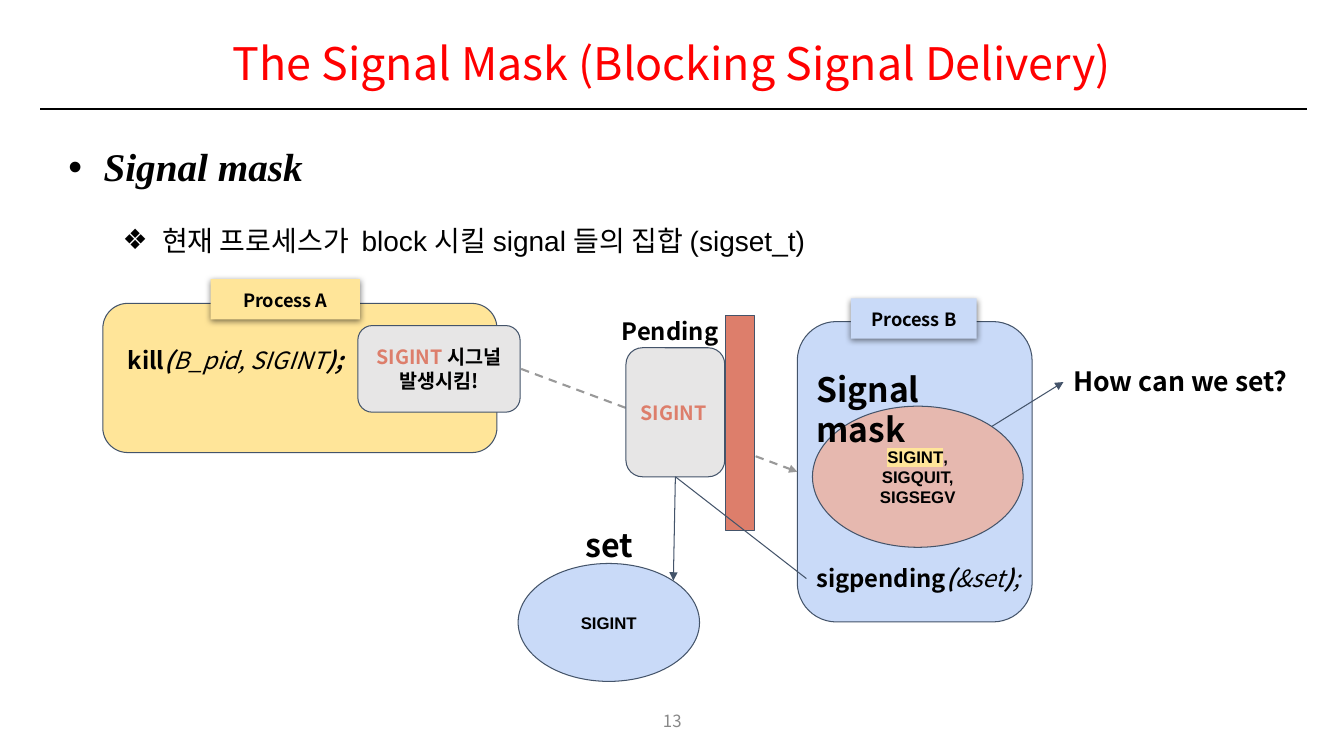
import dataclasses

import lxml.etree
import pptx
import pptx.dml.color
import pptx.enum.dml
import pptx.enum.shapes
import pptx.enum.text
import pptx.oxml.ns
import pptx.util

SHAPE = pptx.enum.shapes.MSO_SHAPE
ALIGN = pptx.enum.text.PP_ALIGN
ANCHOR = pptx.enum.text.MSO_ANCHOR
COLUMNS, ROWS = 133.33, 75


@dataclasses.dataclass(frozen=True)
class Theme:
    sans: str = "Noto Sans CJK KR"
    serif: str = "Times New Roman"
    plain: str = "Arial"
    black: str = "000000"
    red: str = "FF0000"
    outline: str = "44546A"
    yellow: str = "FFE599"
    blue: str = "C9DAF8"
    pink: str = "E6B8AF"
    coral: str = "DD7E6B"
    silver: str = "E7E6E6"
    muted: str = "888888"
    dash: str = "999999"
    title: int = 32
    heading: int = 28
    mask: int = 24
    result: int = 23
    point: int = 20
    question: int = 19
    code: int = 17
    signal: int = 14
    label: int = 13
    small: int = 12


THEME = Theme()


@dataclasses.dataclass(frozen=True)
class Box:
    left: float
    top: float
    width: float
    height: float

    def inner(self, column, row, width, height):
        return Box(self.left + column, self.top + row, width, height)

    def area(self):
        return [cells(n) for n in (self.left, self.top, self.width, self.height)]


@dataclasses.dataclass(frozen=True)
class Style:
    size: int
    color: str = THEME.black
    font: str = THEME.sans
    bold: bool = True
    italic: bool = False
    highlight: str = ""


def cells(count):
    return pptx.util.Inches(count / 10)


def rgb(color):
    return pptx.dml.color.RGBColor.from_string(color)


def add_child(parent, tag, **attributes):
    child = lxml.etree.SubElement(parent, pptx.oxml.ns.qn(tag))
    for name, value in attributes.items():
        child.set(name, str(value))
    return child


def write(shape, spans, align=ALIGN.LEFT, anchor=ANCHOR.TOP, inset=1, spacing=None):
    frame = shape.text_frame
    frame.word_wrap = True
    frame.vertical_anchor = anchor
    frame.margin_left = frame.margin_right = cells(1)
    frame.margin_top = frame.margin_bottom = cells(inset)
    para = frame.paragraphs[0]
    para.alignment = align
    para.line_spacing = spacing
    for text, style in spans:
        span = para.add_run()
        span.text = text
        font = span.font
        font.size = pptx.util.Pt(style.size)
        font.bold, font.italic = style.bold, style.italic
        font.color.rgb = rgb(style.color)
        properties = span._r.get_or_add_rPr()
        if style.highlight:
            add_child(add_child(properties, "a:highlight"), "a:srgbClr", val=style.highlight)
        font.name = style.font
        add_child(properties, "a:ea", typeface=THEME.sans)
    return para


def add_text(page, box, *spans, **layout):
    return write(page.shapes.add_textbox(*box.area()), spans, **layout)


def add_bullet(para, mark, left, hang):
    properties = para._p.get_or_add_pPr()
    properties.set("marL", str(cells(left)))
    properties.set("indent", str(-cells(hang)))
    add_child(add_child(properties, "a:buClr"), "a:srgbClr", val=THEME.black)
    add_child(properties, "a:buFont", typeface=THEME.plain)
    add_child(properties, "a:buChar", char=mark)


def add_figure(page, kind, box, fill, *spans, outlined=True, **layout):
    shape = page.shapes.add_shape(kind, *box.area())
    shape.shadow.inherit = False
    shape.fill.solid()
    shape.fill.fore_color.rgb = rgb(fill)
    if outlined:
        shape.line.color.rgb = rgb(THEME.outline)
        shape.line.width = pptx.util.Pt(0.75)
    else:
        shape.line.fill.background()
    if spans:
        write(shape, spans, **layout)
    return shape


def add_label(page, box, fill, text):
    shape = add_figure(page, SHAPE.RECTANGLE, box, fill, (text, Style(THEME.label)),
                       outlined=False, align=ALIGN.CENTER)
    effects = shape._element.spPr.find(pptx.oxml.ns.qn("a:effectLst"))
    shadow = add_child(effects, "a:outerShdw", blurRad=pptx.util.Pt(4.5),
                       dist=pptx.util.Pt(1.5), dir=5400000, algn="bl", rotWithShape=0)
    add_child(add_child(shadow, "a:srgbClr", val=THEME.black), "a:alpha", val=50000)


def add_line(page, start, end, color=THEME.outline, width=0.75, dashed=False, arrow=False):
    line = page.shapes.add_connector(pptx.enum.shapes.MSO_CONNECTOR.STRAIGHT,
                                     *[cells(n) for n in (*start, *end)])
    line.line.color.rgb = rgb(color)
    line.line.width = pptx.util.Pt(width)
    if dashed:
        line.line.dash_style = pptx.enum.dml.MSO_LINE.DASH
    if arrow:
        add_child(line.line._get_or_add_ln(), "a:tailEnd", type="triangle")
    add_child(line._element.spPr, "a:effectLst")


def draw_header(page, box):
    add_text(page, box.inner(5.2, 0, 115, 7.3),
             ("The Signal Mask (Blocking Signal Delivery)", Style(THEME.title, THEME.red, bold=False)),
             align=ALIGN.CENTER, anchor=ANCHOR.MIDDLE, inset=0.5, spacing=0.9)
    rule = box.top + box.height
    add_line(page, (box.left, rule), (box.left + box.width, rule), THEME.black, 1.5)


def draw_points(page, box):
    heading = add_text(page, box.inner(0, 0, 115, 6.1),
                       ("Signal mask", Style(THEME.heading, font=THEME.serif, italic=True)),
                       inset=0.5, spacing=0.9)
    add_bullet(heading, "•", 3.5, 3.5)
    point = add_text(page, box.inner(4.3, 5.8, 75.6, 4.4),
                     ("현재 프로세스가  block 시킬 signal 들의 집합 (sigset_t)",
                      Style(THEME.point, font=THEME.plain, bold=False)),
                     inset=0.5, spacing=1.5)
    add_bullet(point, "❖", 5, 3.9)


def draw_sender(page, box):
    code = Style(THEME.code)
    slanted = dataclasses.replace(code, italic=True)
    add_figure(page, SHAPE.ROUNDED_RECTANGLE, box, THEME.yellow)
    add_label(page, box.inner(10.7, -2.4, 14.8, 4), THEME.yellow, "Process A")
    add_text(page, box.inner(1.5, 3.2, 27.5, 4.9), ("kill", code), ("(", slanted),
             ("B_pid, SIGINT", dataclasses.replace(slanted, bold=False)), (");", slanted))
    add_figure(page, SHAPE.ROUNDED_RECTANGLE, box.inner(25.3, 2.2, 16.1, 8.6), THEME.silver,
               ("SIGINT", Style(THEME.signal, THEME.coral)),
               (" 시그널 발생시킴!", Style(THEME.signal)),
               align=ALIGN.CENTER, anchor=ANCHOR.MIDDLE)


def draw_receiver(page, box):
    code = Style(THEME.code)
    slanted = dataclasses.replace(code, italic=True)
    light = dataclasses.replace(slanted, bold=False)
    signal = Style(THEME.small, font=THEME.plain)
    add_figure(page, SHAPE.ROUNDED_RECTANGLE, box, THEME.blue)
    add_label(page, box.inner(5.3, -2.3, 12.5, 4), THEME.blue, "Process B")
    add_figure(page, SHAPE.OVAL, box.inner(1.5, 8.4, 20.9, 14), THEME.pink,
               ("SIGINT", dataclasses.replace(signal, highlight=THEME.yellow)),
               (", SIGQUIT, SIGSEGV", signal), align=ALIGN.CENTER, anchor=ANCHOR.MIDDLE)
    add_text(page, box.inner(0.9, 3.7, 21.5, 6.1), ("Signal mask", Style(THEME.mask)))
    add_text(page, box.inner(0.9, 23, 23, 4.9), ("sigpending", code), ("(", slanted),
             ("&set", light), (")", slanted), (";", light))
    add_line(page, (box.left + 19.3, box.top + 10.4), (box.left + 26.4, box.top + 6), arrow=True)
    add_text(page, box.inner(26.4, 3.3, 24.2, 5.2), ("How can we set?", Style(THEME.question)))


def draw_pending(page, box):
    add_line(page, (box.left - 10.4, box.top + 5.3), (box.left + 17, box.top + 15.5),
             THEME.dash, 1.5, dashed=True, arrow=True)
    add_figure(page, SHAPE.RECTANGLE, box.inner(9.9, 0, 2.9, box.height), THEME.coral)
    add_figure(page, SHAPE.ROUNDED_RECTANGLE, box.inner(0, 3.2, 9.8, 12.8), THEME.silver,
               ("SIGINT", Style(THEME.signal, THEME.coral)), anchor=ANCHOR.MIDDLE)
    add_text(page, box.inner(-1.4, -0.9, 12, 4.9), ("Pending", Style(THEME.code)))


def draw_result(page, box):
    fork = (box.left + 15.6, box.top - 8.6)
    add_line(page, (box.left + 28.6, box.top + 1.5), fork)
    add_line(page, fork, (box.left + 15.4, box.top + 1.7), arrow=True)
    add_figure(page, SHAPE.OVAL, box, THEME.blue, ("SIGINT", Style(THEME.small, font=THEME.plain)),
               align=ALIGN.CENTER, anchor=ANCHOR.MIDDLE)
    add_text(page, box.inner(5.7, -4.8, 9.8, 5.9), ("set", Style(THEME.result)))


def draw_page_number(page, box):
    add_text(page, box, ("13", Style(THEME.small, THEME.muted, bold=False)),
             align=ALIGN.CENTER, anchor=ANCHOR.MIDDLE, inset=0.5)


def main():
    deck = pptx.Presentation()
    deck.slide_width, deck.slide_height = cells(COLUMNS), cells(ROWS)
    page = deck.slides.add_slide(deck.slide_layouts[6])
    draw_header(page, Box(4, 2.9, 125.7, 7.9))
    draw_points(page, Box(5.8, 14.2, 115, 10.2))
    draw_sender(page, Box(10.2, 30.1, 39.1, 14.8))
    draw_receiver(page, Box(79.1, 31.9, 23.3, 29.8))
    draw_pending(page, Box(62.1, 31.3, 12.8, 21.3))
    draw_result(page, Box(51.4, 55.9, 18, 11.7))
    draw_page_number(page, Box(51.7, 69.5, 30, 4))
    deck.save("out.pptx")


if __name__ == "__main__":
    main()
